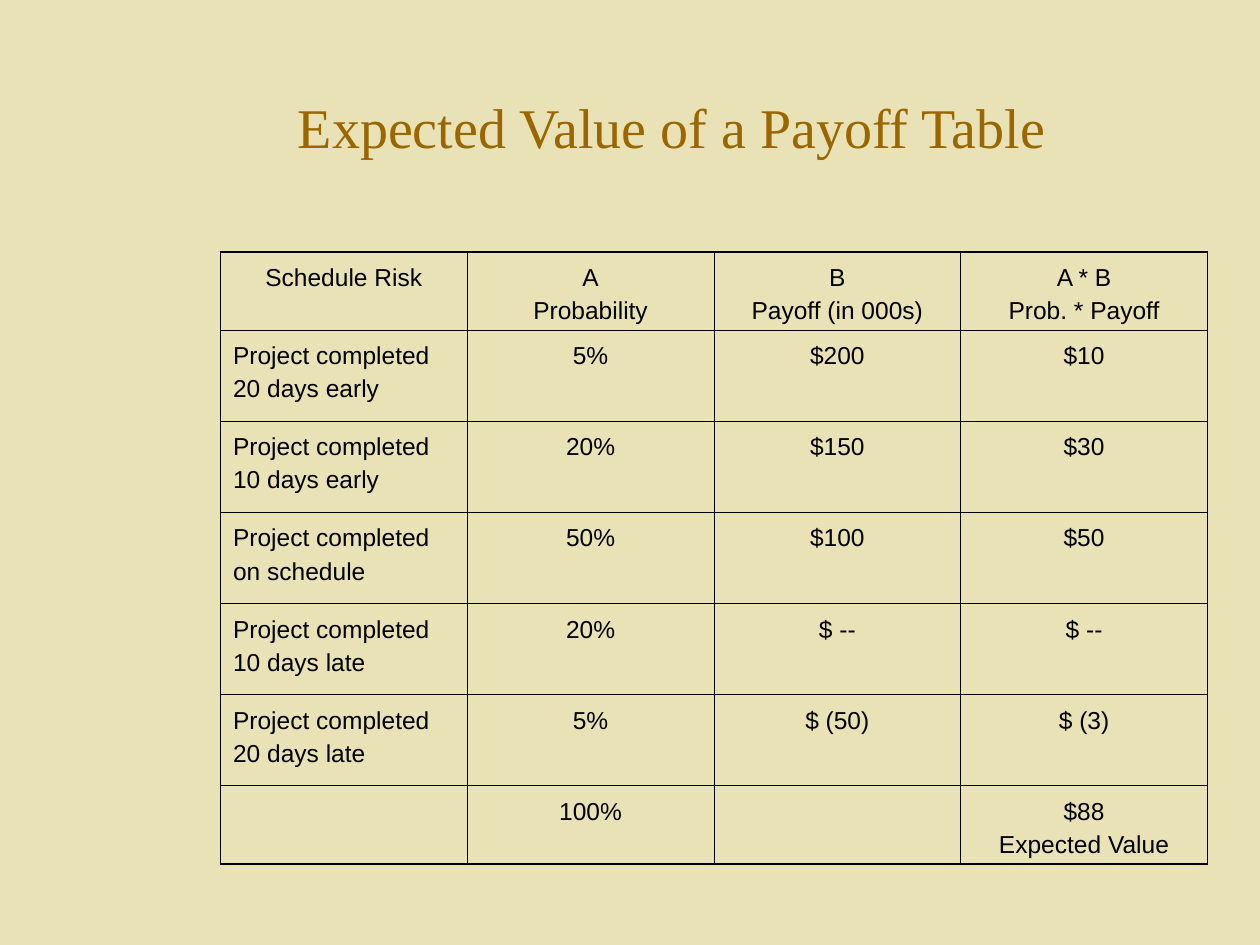
"""Build a slide with the expected value of a payoff table."""
from lxml.etree import fromstring
from pptx import Presentation
from pptx.dml.color import RGBColor as Color
from pptx.enum.text import MSO_ANCHOR as Anchor, PP_ALIGN as Align
from pptx.oxml.ns import nsdecls
from pptx.util import Pt

TITLE = "Expected Value of a Payoff Table"
ROWS = [
    ("Schedule Risk", "A\nProbability", "B\nPayoff (in 000s)", "A * B\nProb. * Payoff"),
    ("Project completed\n20 days early", "5%", "$200", "$10"),
    ("Project completed\n10 days early", "20%", "$150", "$30"),
    ("Project completed\non schedule", "50%", "$100", "$50"),
    ("Project completed\n10 days late", "20%", "$ --", "$ --"),
    ("Project completed\n20 days late", "5%", "$ (50)", "$ (3)"),
    ("", "100%", "", "$88\nExpected Value"),
]
THEME = {
    "back": Color.from_string("E9E2B6"),
    "title": {"name": "Times New Roman", "size": Pt(32), "color": "996600"},
    "cell": {"name": "Arial", "size": Pt(14), "color": "000000"},
    "line": "000000",
    "outer": 1.08,
    "inner": 0.45,
}
TITLE_BOX = {"left": Pt(108), "top": Pt(42), "width": Pt(552), "height": Pt(60)}
LEFT, TOP, COL = 126, 144, 141
EDGE_ROW, BODY_ROW = 44.6, 52.1
TITLE_PADS = {"margin_left": Pt(7.2), "margin_right": Pt(7.2),
              "margin_top": Pt(3.6), "margin_bottom": Pt(3.6)}
CELL_PADS = {**TITLE_PADS, "margin_top": Pt(7.1), "margin_bottom": Pt(1.8)}
GAP = Pt(3.2)


def put(item, values):
    for key, value in values.items():
        setattr(item, key, value)


def write(frame, text, style, align):
    frame.text = text
    for i, para in enumerate(frame.paragraphs):
        para.alignment = align
        if i:
            para.space_before = GAP
        for run in para.runs:
            put(run.font, {"name": style["name"], "size": style["size"]})
            run.font.color.rgb = Color.from_string(style["color"])


def rule(cell, sides):
    props = cell._tc.get_or_add_tcPr()
    for i, (side, outer) in enumerate(sides.items()):
        width = Pt(THEME["outer" if outer else "inner"])
        props.insert(i, fromstring(
            f'<a:ln{side} {nsdecls("a")} w="{width}"><a:solidFill>'
            f'<a:srgbClr val="{THEME["line"]}"/></a:solidFill></a:ln{side}>'))


def add_title(slide):
    title = slide.shapes.title
    put(title, TITLE_BOX)
    frame = title.text_frame
    put(frame, {**TITLE_PADS, "vertical_anchor": Anchor.MIDDLE, "word_wrap": True})
    write(frame, TITLE, THEME["title"], Align.CENTER)


def add_payoffs(slide):
    last_row, last_col = len(ROWS) - 1, len(ROWS[0]) - 1
    highs = [EDGE_ROW if r in (0, last_row) else BODY_ROW for r in range(len(ROWS))]
    table = slide.shapes.add_table(
        len(ROWS), len(ROWS[0]), Pt(LEFT), Pt(TOP),
        Pt(COL * len(ROWS[0])), Pt(sum(highs))).table
    put(table, {"first_row": False, "horz_banding": False})
    for col in table.columns:
        col.width = Pt(COL)
    for r, texts in enumerate(ROWS):
        table.rows[r].height = Pt(highs[r])
        for c, text in enumerate(texts):
            cell = table.cell(r, c)
            put(cell, {**CELL_PADS, "vertical_anchor": Anchor.TOP})
            cell.fill.background()
            align = Align.LEFT if r and not c else Align.CENTER
            write(cell.text_frame, text, THEME["cell"], align)
            rule(cell, {"L": c == 0, "R": c == last_col,
                        "T": r == 0, "B": r == last_row})


def main():
    deck = Presentation()
    put(deck, {"slide_width": Pt(720), "slide_height": Pt(540)})
    slide = deck.slides.add_slide(deck.slide_layouts[5])
    fill = slide.background.fill
    fill.solid()
    fill.fore_color.rgb = THEME["back"]
    add_title(slide)
    add_payoffs(slide)
    deck.save("out.pptx")


if __name__ == "__main__":
    main()
